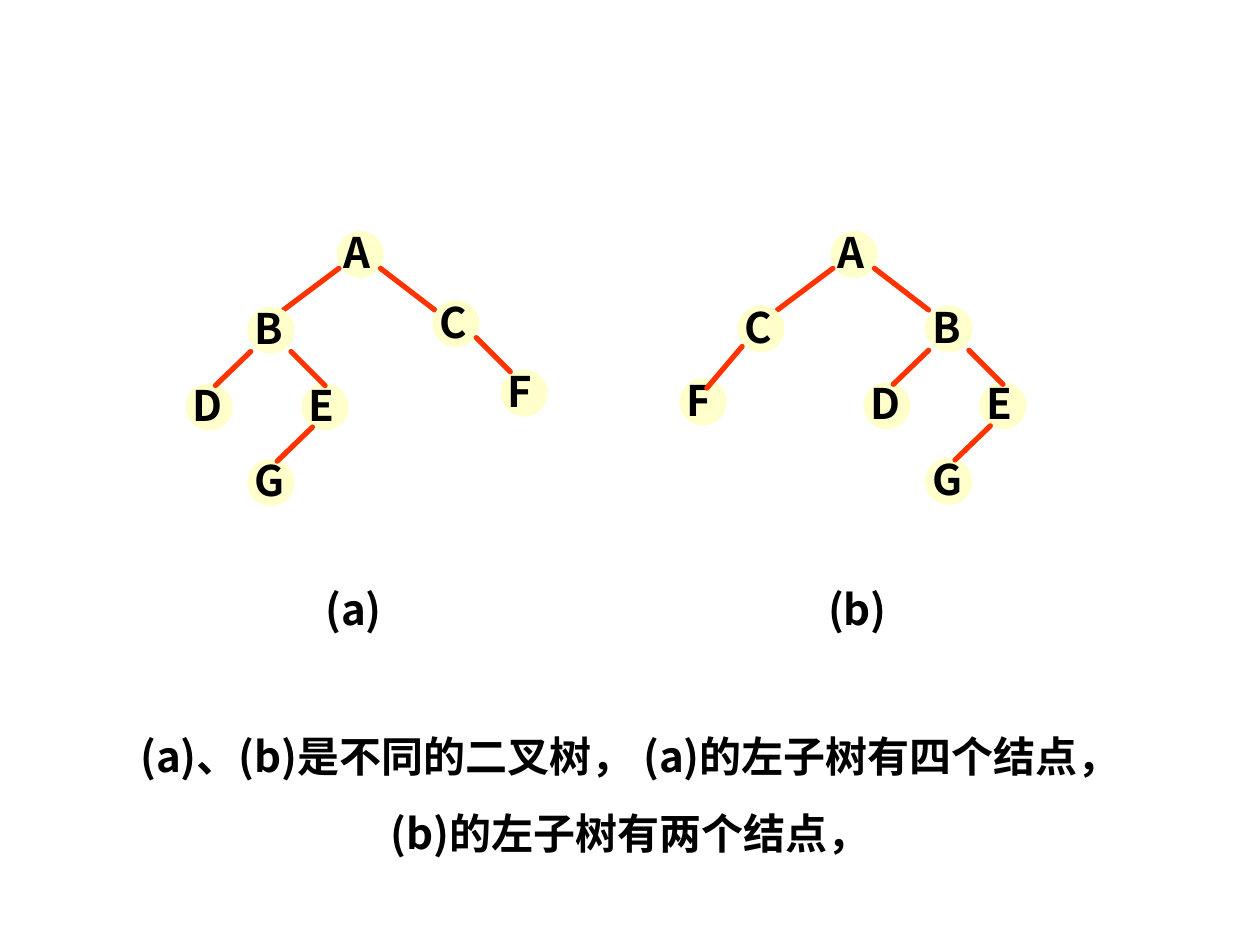
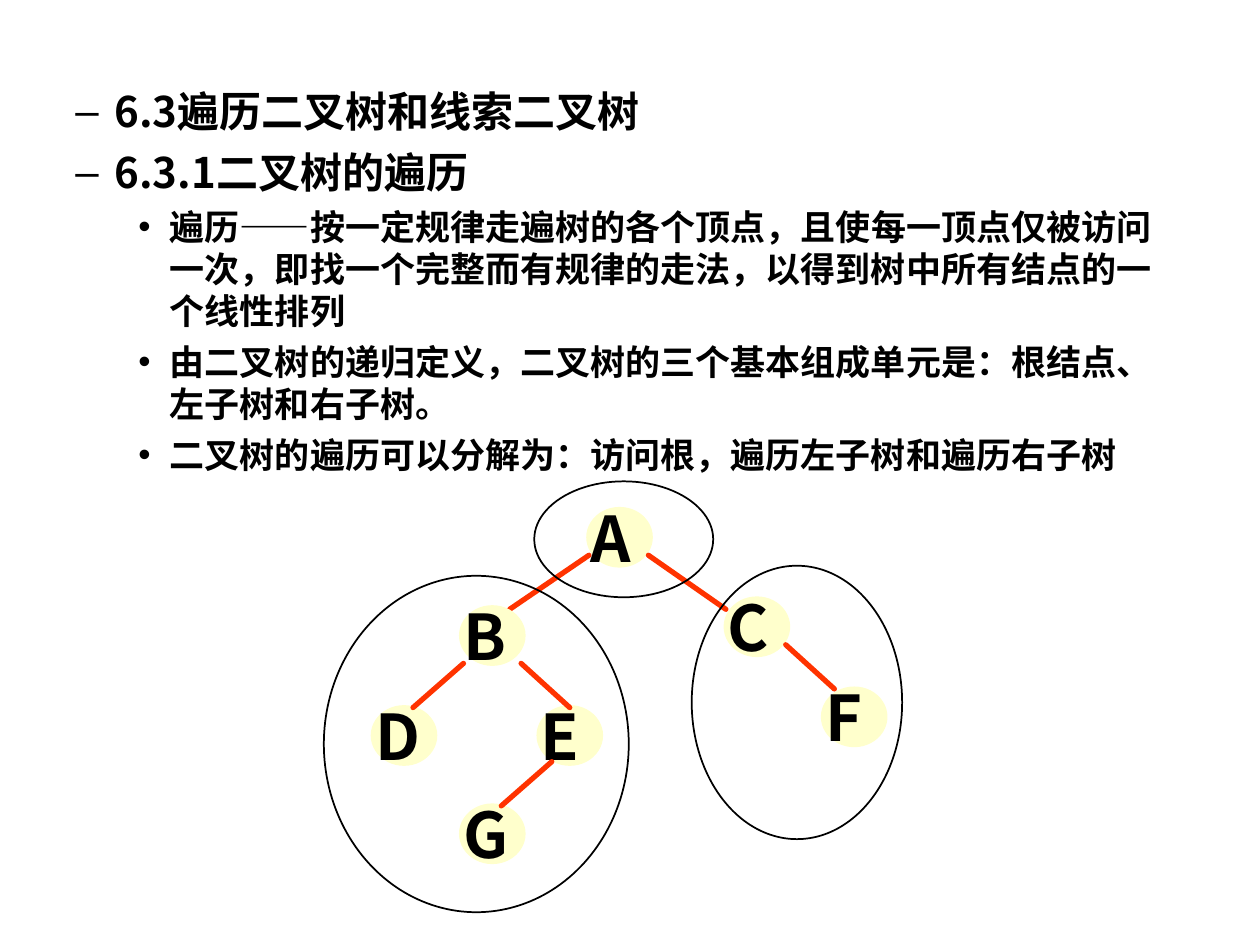
from dataclasses import dataclass
from typing import NamedTuple, Optional

from lxml.etree import SubElement
from pptx import Presentation
from pptx.dml.color import RGBColor
from pptx.enum.shapes import MSO_CONNECTOR, MSO_SHAPE
from pptx.enum.text import PP_ALIGN
from pptx.oxml.ns import qn
from pptx.util import Inches, Pt


@dataclass(frozen=True)
class Theme:
    ink: RGBColor = RGBColor(0x00, 0x00, 0x00)
    node: RGBColor = RGBColor(0xFF, 0xFF, 0xCC)
    edge: RGBColor = RGBColor(0xFF, 0x33, 0x00)
    font: str = "Noto Sans CJK SC"
    detail_font: str = "Arial"
    heading_size: int = 24
    detail_size: int = 20
    edge_width: int = 3
    outline_width: int = 1
    line_height: float = 1.2


class Box(NamedTuple):
    left: float
    top: float
    width: float
    height: float


class Node(NamedTuple):
    letter: str
    left: float
    top: float


class Edge(NamedTuple):
    start_x: float
    start_y: float
    end_x: float
    end_y: float


class Branch(NamedTuple):
    nodes: list[Node]
    edges: list[Edge]


class Placement(NamedTuple):
    branch: Branch
    left: float
    top: float


class TreeStyle(NamedTuple):
    scale_x: float
    scale_y: float
    letter_size: int
    letter_indent: float


class Bullet(NamedTuple):
    mark: str
    level: int
    left: float
    hanging: float


class Line(NamedTuple):
    text: str
    size: int
    font: str
    space_before: int = 0
    alignment: PP_ALIGN = PP_ALIGN.LEFT
    bullet: Optional[Bullet] = None


THEME = Theme()
NODE_SIZE = 0.36
LETTER_BOX = Box(-0.1, -0.09, 0.65, 0.52)

ROOT = Branch(
    [Node("A", 0, 0)],
    [Edge(0.01, 0.29, -0.43, 0.62), Edge(0.34, 0.29, 0.77, 0.62)],
)
BRANCH_B = Branch(
    [Node("B", 0, 0), Node("D", -0.49, 0.61), Node("E", 0.43, 0.61), Node("G", 0, 1.21)],
    [Edge(0.02, 0.35, -0.26, 0.62), Edge(0.34, 0.35, 0.61, 0.62), Edge(0.51, 0.95, 0.23, 1.22)],
)
BRANCH_C_RIGHT = Branch(
    [Node("C", 0, 0), Node("F", 0.54, 0.55)], [Edge(0.34, 0.29, 0.61, 0.56)]
)
BRANCH_C_LEFT = Branch(
    [Node("C", 0, 0), Node("F", -0.46, 0.58)], [Edge(0.03, 0.32, -0.25, 0.65)]
)

SMALL = TreeStyle(1, 1, 24, 0.05)
LARGE = TreeStyle(1.43, 1.3, 36, 0.07)

TREE_A = [
    Placement(ROOT, 2.68, 1.84),
    Placement(BRANCH_B, 1.97, 2.44),
    Placement(BRANCH_C_RIGHT, 3.44, 2.39),
]
TREE_B = [
    Placement(ROOT, 6.6, 1.84),
    Placement(BRANCH_B, 7.35, 2.43),
    Placement(BRANCH_C_LEFT, 5.86, 2.43),
]
TRAVERSAL_TREE = [
    Placement(ROOT, 4.66, 4.03),
    Placement(BRANCH_B, 3.65, 4.81),
    Placement(BRANCH_C_RIGHT, 5.75, 4.74),
]
UNIT_OUTLINES = [
    Box(2.57, 4.57, 2.42, 2.67),
    Box(5.49, 4.49, 1.67, 2.17),
    Box(4.24, 3.82, 1.42, 0.92),
]

DASH = Bullet("–", 1, 0.81, 0.31)
DOT = Bullet("•", 2, 1.25, 0.25)
HEADINGS = ["6.3遍历二叉树和线索二叉树", "6.3.1二叉树的遍历"]
DETAILS = [
    "遍历——按一定规律走遍树的各个顶点，且使每一顶点仅被访问一次，"
    "即找一个完整而有规律的走法，以得到树中所有结点的一个线性排列",
    "由二叉树的递归定义，二叉树的三个基本组成单元是：根结点、左子树和右子树。",
    "二叉树的遍历可以分解为：访问根，遍历左子树和遍历右子树",
]
COMPARISON = ["(a)、(b)是不同的二叉树， (a)的左子树有四个结点，", "(b)的左子树有两个结点，"]


def inches(box: Box) -> list[Inches]:
    return [Inches(length) for length in box]


def add_bullet(paragraph, bullet: Bullet) -> None:
    paragraph.level = bullet.level
    properties = paragraph._p.get_or_add_pPr()
    properties.set("marL", str(Inches(bullet.left)))
    properties.set("indent", str(-Inches(bullet.hanging)))
    SubElement(properties, qn("a:buFont")).set("typeface", THEME.detail_font)
    SubElement(properties, qn("a:buChar")).set("char", bullet.mark)


def add_text(shapes, box: Box, lines: list[Line], indent: float = 0) -> None:
    frame = shapes.add_textbox(*inches(box)).text_frame
    frame.word_wrap = True
    frame.margin_left = Inches(0.1 + indent)
    for index, line in enumerate(lines):
        paragraph = frame.add_paragraph() if index else frame.paragraphs[0]
        if line.bullet:
            add_bullet(paragraph, line.bullet)
        paragraph.alignment = line.alignment
        paragraph.line_spacing = Pt(line.size * THEME.line_height)
        paragraph.space_before = Pt(line.space_before if index else 0)
        run = paragraph.add_run()
        run.text = line.text
        run.font.size = Pt(line.size)
        run.font.bold = True
        run.font.color.rgb = THEME.ink
        run.font.name = line.font
        SubElement(run._r.get_or_add_rPr(), qn("a:ea")).set("typeface", THEME.font)


def add_ellipse(shapes, box: Box, line: RGBColor, fill: Optional[RGBColor] = None) -> None:
    shape = shapes.add_shape(MSO_SHAPE.OVAL, *inches(box))
    shape.shadow.inherit = False
    if fill is None:
        shape.fill.background()
    else:
        shape.fill.solid()
        shape.fill.fore_color.rgb = fill
    shape.line.color.rgb = line
    shape.line.width = Pt(THEME.outline_width)


def add_edge(shapes, edge: Edge) -> None:
    connector = shapes.add_connector(MSO_CONNECTOR.STRAIGHT, *[Inches(end) for end in edge])
    connector.line.color.rgb = THEME.edge
    connector.line.width = Pt(THEME.edge_width)
    properties = connector._element.spPr
    properties.find(qn("a:ln")).set("cap", "rnd")
    SubElement(properties, qn("a:effectLst"))


def add_branch(shapes, placement: Placement, style: TreeStyle) -> None:
    def place_x(offset: float) -> float:
        return placement.left + offset * style.scale_x

    def place_y(offset: float) -> float:
        return placement.top + offset * style.scale_y

    for node in placement.branch.nodes:
        width, height = NODE_SIZE * style.scale_x, NODE_SIZE * style.scale_y
        circle = Box(place_x(node.left), place_y(node.top), width, height)
        add_ellipse(shapes, circle, THEME.node, THEME.node)
        letter_box = Box(
            place_x(node.left + LETTER_BOX.left),
            place_y(node.top + LETTER_BOX.top),
            LETTER_BOX.width * style.scale_x,
            LETTER_BOX.height * style.scale_y,
        )
        letter = Line(node.letter, style.letter_size, THEME.font)
        add_text(shapes, letter_box, [letter], style.letter_indent)
    for edge in placement.branch.edges:
        add_edge(shapes, Edge(
            place_x(edge.start_x), place_y(edge.start_y),
            place_x(edge.end_x), place_y(edge.end_y),
        ))


def add_tree(slide, tree: list[Placement], style: TreeStyle):
    group = slide.shapes.add_group_shape()
    for placement in tree:
        add_branch(group.shapes, placement, style)
    return group


def centred_lines(texts: list[str]) -> list[Line]:
    return [Line(text, THEME.heading_size, THEME.font, 15, PP_ALIGN.CENTER) for text in texts]


def build_comparison(slide) -> None:
    for tree, caption, left in ((TREE_A, "(a)", 1.92), (TREE_B, "(b)", 5.92)):
        add_tree(slide, tree, SMALL)
        add_text(slide.shapes, Box(left, 4.58, 1.77, 0.5), centred_lines([caption]))
    add_text(slide.shapes, Box(0, 5.75, 10, 1.11), centred_lines(COMPARISON))


def build_traversal(slide) -> None:
    lines = [
        Line(text, THEME.heading_size, THEME.font, 6, bullet=DASH) for text in HEADINGS
    ] + [
        Line(text, THEME.detail_size, THEME.detail_font, 5, bullet=DOT) for text in DETAILS
    ]
    add_text(slide.shapes, Box(0, 0.63, 9.3, 3.7), lines)
    group = add_tree(slide, TRAVERSAL_TREE, LARGE)
    for outline in UNIT_OUTLINES:
        add_ellipse(group.shapes, outline, THEME.ink)


def main() -> None:
    presentation = Presentation()
    presentation.slide_width = Inches(10)
    presentation.slide_height = Inches(7.5)
    blank_layout = presentation.slide_layouts[6]
    for build in (build_comparison, build_traversal):
        build(presentation.slides.add_slide(blank_layout))
    presentation.save("out.pptx")


if __name__ == "__main__":
    main()
